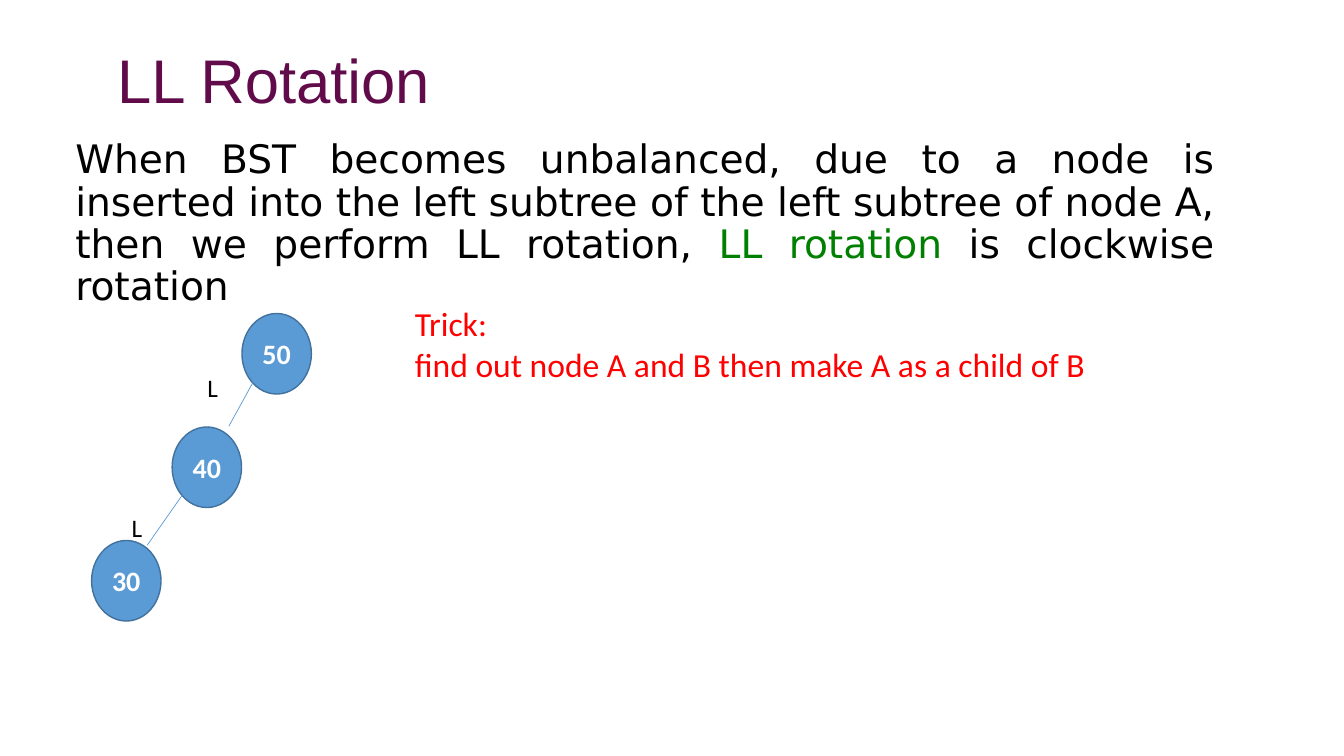
"""Build the slide that explains LL rotation in a binary search tree."""
from lxml.etree import SubElement
from pptx import Presentation
from pptx.dml.color import RGBColor
from pptx.enum.shapes import MSO_CONNECTOR as Connector, MSO_SHAPE as Shape
from pptx.enum.text import MSO_ANCHOR as Anchor, PP_ALIGN as Align
from pptx.oxml.ns import qn
from pptx.util import Cm, Pt

PLUM = RGBColor(0x61, 0x0B, 0x4B)
BLACK = RGBColor(0x00, 0x00, 0x00)
WHITE = RGBColor(0xFF, 0xFF, 0xFF)
GREEN = RGBColor(0x00, 0x80, 0x00)
RED = RGBColor(0xFF, 0x00, 0x00)
BLUE = RGBColor(0x5B, 0x9B, 0xD5)
DARK_BLUE = RGBColor(0x41, 0x71, 0x9C)


def set_font(para, name, size, color):
    para.font.name = name
    para.font.size = Pt(size)
    para.font.color.rgb = color


def add_text_box(left, top, width, height, wrap=True):
    box = page.shapes.add_textbox(Cm(left), Cm(top), Cm(width), Cm(height))
    box.text_frame.word_wrap = wrap
    return box.text_frame


deck = Presentation()
deck.slide_width, deck.slide_height = Cm(33.88), Cm(19.05)
page = deck.slides.add_slide(deck.slide_layouts[5])

title = page.shapes.title
title.left, title.top, title.width, title.height = Cm(2.34), Cm(1.02), Cm(29.21), Cm(3.68)
title.text_frame.text = " LL Rotation"
title.text_frame.vertical_anchor = Anchor.TOP
title.text_frame.margin_top = Cm(0.25)
title.text_frame.margin_left = Cm(0.18)
heading = title.text_frame.paragraphs[0]
heading.alignment = Align.LEFT
heading.line_spacing = 0.9
set_font(heading, "Arial", 44, PLUM)

explanation = add_text_box(1.65, 3.4, 29.21, 13.06).paragraphs[0]
explanation.alignment = Align.JUSTIFY
explanation.line_spacing = 0.9
explanation.space_before = Pt(10)
set_font(explanation, "DejaVu Sans", 28, BLACK)
for text, color in [
    ("When BST becomes unbalanced, due to a node is inserted into the left subtree "
     "of the left subtree of node A, then we perform LL rotation, ", BLACK),
    ("LL rotation", GREEN),
    (" is clockwise rotation", BLACK),
]:
    span = explanation.add_run()
    span.text = text
    span.font.color.rgb = color

for level, (value, left) in enumerate([("50", 6.1), ("40", 4.34), ("30", 2.31)]):
    node = page.shapes.add_shape(
        Shape.OVAL, Cm(left), Cm(7.9 + 2.86 * level), Cm(1.75), Cm(2.03))
    node.shadow.inherit = False
    node.fill.solid()
    node.fill.fore_color.rgb = BLUE
    node.line.color.rgb = DARK_BLUE
    node.line.width = Pt(1)
    node.text_frame.text = value
    node.text_frame.vertical_anchor = Anchor.MIDDLE
    para = node.text_frame.paragraphs[0]
    para.alignment = Align.CENTER
    set_font(para, "Calibri", 20, WHITE)
    para.font.bold = True

for x1, y1, x2, y2 in [(6.38, 9.63, 5.77, 10.74), (4.6, 12.47, 3.71, 13.74)]:
    edge = page.shapes.add_connector(Connector.STRAIGHT, Cm(x1), Cm(y1), Cm(x2), Cm(y2))
    edge.line.color.rgb = BLUE
    edge.line.width = Pt(0.5)
    SubElement(edge._element.spPr, qn("a:effectLst"))

for left, top, width, wrap in [(4.98, 9.25, 0.76, False), (3.07, 12.78, 0.89, True)]:
    label = add_text_box(left, top, width, 1.02, wrap)
    label.text = "L"
    set_font(label.paragraphs[0], "Calibri", 18, BLACK)

trick = add_text_box(10.21, 7.52, 20.22, 2.29)
trick.text = "Trick:\nfind out node A and B then make A as a child of B"
for para in trick.paragraphs:
    set_font(para, "Calibri", 24, RED)

deck.save("out.pptx")
